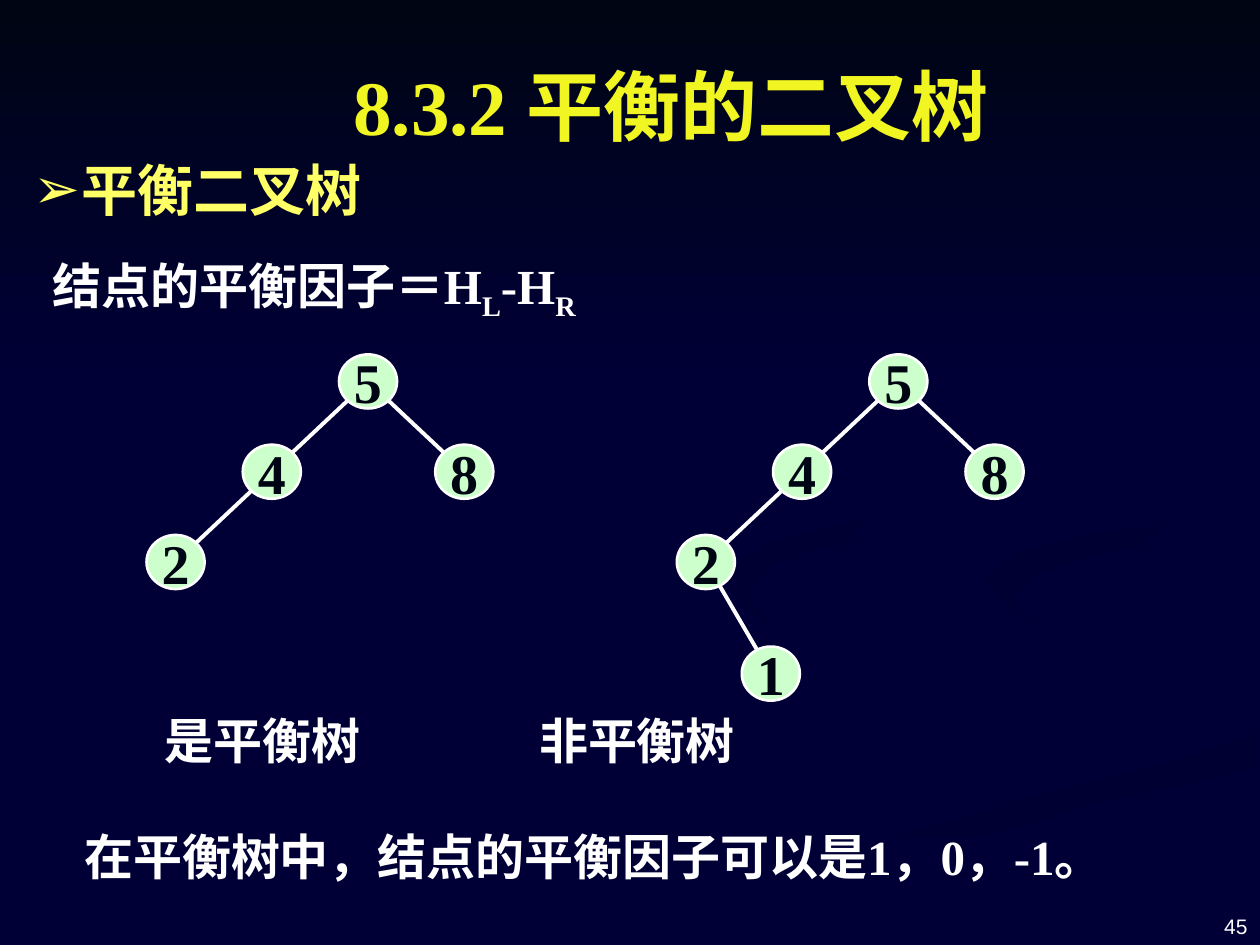
"""Build a slide that compares a balanced and an unbalanced binary tree."""
from math import hypot

from lxml.etree import SubElement
from pptx import Presentation
from pptx.dml.color import RGBColor
from pptx.enum.shapes import MSO_CONNECTOR as Link, MSO_SHAPE as Shape
from pptx.enum.text import MSO_ANCHOR as Anchor, PP_ALIGN as Align
from pptx.oxml.ns import qn
from pptx.util import Cm, Pt

NAVY = RGBColor(0x00, 0x00, 0x36)
DUSK = RGBColor(0x00, 0x00, 0x34)
DEEP = RGBColor(0x00, 0x00, 0x32)
INK = RGBColor(0x00, 0x05, 0x14)
WHITE = RGBColor(0xFF, 0xFF, 0xFF)
MINT = RGBColor(0xCC, 0xFF, 0xCC)
LEMON = RGBColor(0xFF, 0xFF, 0x66)
GOLD = RGBColor(0xF1, 0xF6, 0x22)

ARIAL, TIMES, HAN = "Arial", "Times New Roman", "Noto Sans CJK SC"
WIDE, TALL = 25.4, 19.05
NODE_W, NODE_H = 1.17, 1.09
STEP_X, STEP_Y = 1.94, 1.82

SPOTS = {
    "5": (0, 0),
    "4": (-STEP_X, STEP_Y),
    "8": (STEP_X, STEP_Y),
    "2": (-2 * STEP_X, 2 * STEP_Y),
    "1": (-2.57, 5.89),
}
EDGES = ["54", "42", "58"]

WAVES = [
    (NAVY, DUSK, 0, [
        (19.84, 14.05), (18.16, 13.41), (16.31, 12.75), (15.08, 12.22), (14.61, 11.71),
        (14.48, 11.99), (15.06, 12.42), (16.61, 13.03), (18.49, 13.59), (19.71, 14.05),
        (19.96, 14.38), (19.66, 14.83), (18.77, 15.19), (17.37, 15.56), (14.71, 16.23),
        (11.63, 17.12), (7.62, 19.02), (9.17, 19.02), (11.84, 17.78), (15.09, 16.66),
        (18.31, 15.91), (19.81, 15.37), (20.32, 14.76)]),
    (NAVY, DUSK, 315, [
        (23.95, 14.48), (23.34, 13.89), (22.1, 13.46), (20.12, 12.93), (18.92, 12.45),
        (18.39, 11.79), (18.49, 12.17), (18.94, 12.7), (19.84, 13.16), (21.29, 13.61),
        (22.66, 14.05), (23.24, 14.5), (23.22, 14.94), (22.71, 15.37), (23.5, 15.06)]),
    (DEEP, NAVY, 270, [
        (12.78, 19.02), (14.5, 19.02), (15.6, 18.44), (17.02, 17.83), (19.1, 17.07),
        (21.87, 16.26), (25.35, 15.47), (25.35, 14.76), (23.77, 15.29), (21.11, 15.98),
        (17.68, 16.99), (15.21, 17.93), (13.18, 18.97)]),
    (DEEP, NAVY, 315, [
        (19.84, 11.68), (20.09, 12.04), (20.98, 12.6), (20.57, 12.29), (20.45, 11.99),
        (20.73, 11.66), (21.82, 11.25), (23.77, 10.9), (25.35, 10.67), (25.35, 10.21),
        (23.7, 10.54), (21.97, 10.77), (20.57, 11.1)]),
    (DEEP, NAVY, 315, [
        (17.35, 10.92), (19.96, 10.46), (21.36, 10.06), (22.25, 9.6), (22.71, 8.74),
        (22.5, 8.03), (21.95, 7.39), (20.85, 6.63), (19.35, 5.92), (20.98, 6.76),
        (22.05, 7.59), (22.58, 8.51), (22.25, 9.14), (21.39, 9.6), (20.09, 9.96),
        (17.17, 10.52), (15.62, 10.9), (14.83, 11.33), (14.66, 11.73), (14.99, 12.29),
        (15.8, 12.7), (15.16, 12.19), (15.09, 11.81), (15.57, 11.38), (16.48, 11.07)]),
    (INK, NAVY, 270, [(0, 0), (0, 7.82), (WIDE, 7.82), (WIDE, 0)]),
]


def add_run(para, text, size, color=WHITE, face=TIMES, bold=True, base=0):
    """Add one styled run to a paragraph."""
    run = para.add_run()
    run.text = text
    font = run.font
    font.size, font.bold, font.name = Pt(size), bold, face
    font.color.rgb = color
    props = run._r.get_or_add_rPr()
    SubElement(props, qn("a:ea")).set("typeface", HAN)
    if base:
        props.set("baseline", str(base * 1000))


def place(shape, left, top, width, height):
    """Set the position and size of a shape."""
    shape.left, shape.top = Cm(left), Cm(top)
    shape.width, shape.height = Cm(width), Cm(height)


def set_para(shape, anchor=Anchor.TOP, align=Align.LEFT):
    """Lay out the text frame and return its first paragraph."""
    frame = shape.text_frame
    frame.word_wrap, frame.vertical_anchor = True, anchor
    para = frame.paragraphs[0]
    para.alignment, para.space_before = align, Pt(0)
    return para


def add_text(slide, left, top, width, height, **style):
    """Add a text box and return its first paragraph."""
    box = slide.shapes.add_textbox(Cm(left), Cm(top), Cm(width), Cm(height))
    return set_para(box, **style)


def add_wave(slide, start, end, angle, spots):
    """Add a backdrop outline filled with a gradient."""
    first, *rest = [(Cm(x), Cm(y)) for x, y in spots]
    form = slide.shapes.build_freeform(*first)
    form.add_line_segments(rest, close=True)
    wave = form.convert_to_shape()
    wave.shadow.inherit = False
    wave.line.fill.background()
    wave.fill.gradient()
    wave.fill.gradient_angle = angle
    for stop, color in zip(wave.fill.gradient_stops, (start, end)):
        stop.color.rgb = color


def add_node(slide, x, y, key):
    """Add a tree node centred on a point."""
    node = slide.shapes.add_shape(
        Shape.OVAL, Cm(x - NODE_W / 2), Cm(y - NODE_H / 2), Cm(NODE_W), Cm(NODE_H))
    node.shadow.inherit = False
    node.fill.solid()
    node.fill.fore_color.rgb = MINT
    node.line.color.rgb, node.line.width = WHITE, Pt(1.5)
    add_run(set_para(node, Anchor.MIDDLE, Align.CENTER), key, 32, INK)
    frame = node.text_frame
    frame.word_wrap = False
    frame.margin_left = frame.margin_right = frame.margin_top = frame.margin_bottom = 0


def add_edge(slide, x1, y1, x2, y2):
    """Join the rims of two nodes given by their centres."""
    dx, dy = x2 - x1, y2 - y1
    part = 1 / hypot(dx / (NODE_W / 2), dy / (NODE_H / 2))
    dx, dy = dx * part, dy * part
    edge = slide.shapes.add_connector(
        Link.STRAIGHT, Cm(x1 + dx), Cm(y1 + dy), Cm(x2 - dx), Cm(y2 - dy))
    edge.line.color.rgb, edge.line.width = WHITE, Pt(2.25)
    SubElement(edge._element.spPr, qn("a:effectLst"))


def add_tree(slide, x, y, keys, edges):
    """Add the nodes and edges of a tree from its root centre."""
    spots = {key: (x + SPOTS[key][0], y + SPOTS[key][1]) for key in keys}
    for key, spot in spots.items():
        add_node(slide, *spot, key)
    for top, low in edges:
        add_edge(slide, *spots[top], *spots[low])


def set_heads(slide):
    """Fill the title and body placeholders and bring them forward."""
    title, body = slide.shapes.title, slide.placeholders[1]
    place(title, 2.74, 1.47, 21.59, 1.27)
    add_run(set_para(title, Anchor.MIDDLE, Align.CENTER), "8.3.2 平衡的二叉树", 44, GOLD)
    place(body, 0.43, 3, 17.78, 1.6)
    para = set_para(body)
    props = para._p.get_or_add_pPr()
    props.set("marL", str(Cm(0.95)))
    props.set("indent", str(Cm(-0.95)))
    SubElement(props, qn("a:buChar")).set("char", "➢")
    add_run(para, "平衡二叉树", 32, LEMON, HAN)
    for item in (title, body):
        item._element.getparent().append(item._element)


def main():
    """Build and save the slide."""
    prs = Presentation()
    prs.slide_width, prs.slide_height = Cm(WIDE), Cm(TALL)
    slide = prs.slides.add_slide(prs.slide_layouts[1])
    slide.background.fill.solid()
    slide.background.fill.fore_color.rgb = NAVY
    for wave in WAVES:
        add_wave(slide, *wave)
    set_heads(slide)

    para = add_text(slide, 0.81, 5.03, 11.73, 1.45)
    add_run(para, "结点的平衡因子＝", 28, face=ARIAL)
    for text, base in (("H", 0), ("L", -25), ("-H", 0), ("R", -25)):
        add_run(para, text, 28, base=base)

    add_tree(slide, 7.42, 7.69, "5482", EDGES)
    add_tree(slide, 18.11, 7.69, "54821", EDGES + ["21"])
    for left, text in ((3.07, "是平衡树"), (10.62, "非平衡树")):
        add_run(add_text(slide, left, 14.2, 5, 1.45), text, 28, face=HAN)

    para = add_text(slide, 1.45, 16.54, 22.63, 1.45)
    add_run(para, "在平衡树中，结点的平衡因子可以是", 28, face=ARIAL)
    add_run(para, "1，0，-1", 28)
    add_run(para, "。", 28, face=ARIAL)

    para = add_text(slide, 19.48, 17.73, 5.92, 1.32, anchor=Anchor.BOTTOM, align=Align.RIGHT)
    add_run(para, "45", 12, face=ARIAL, bold=False)
    prs.save("out.pptx")


if __name__ == "__main__":
    main()
